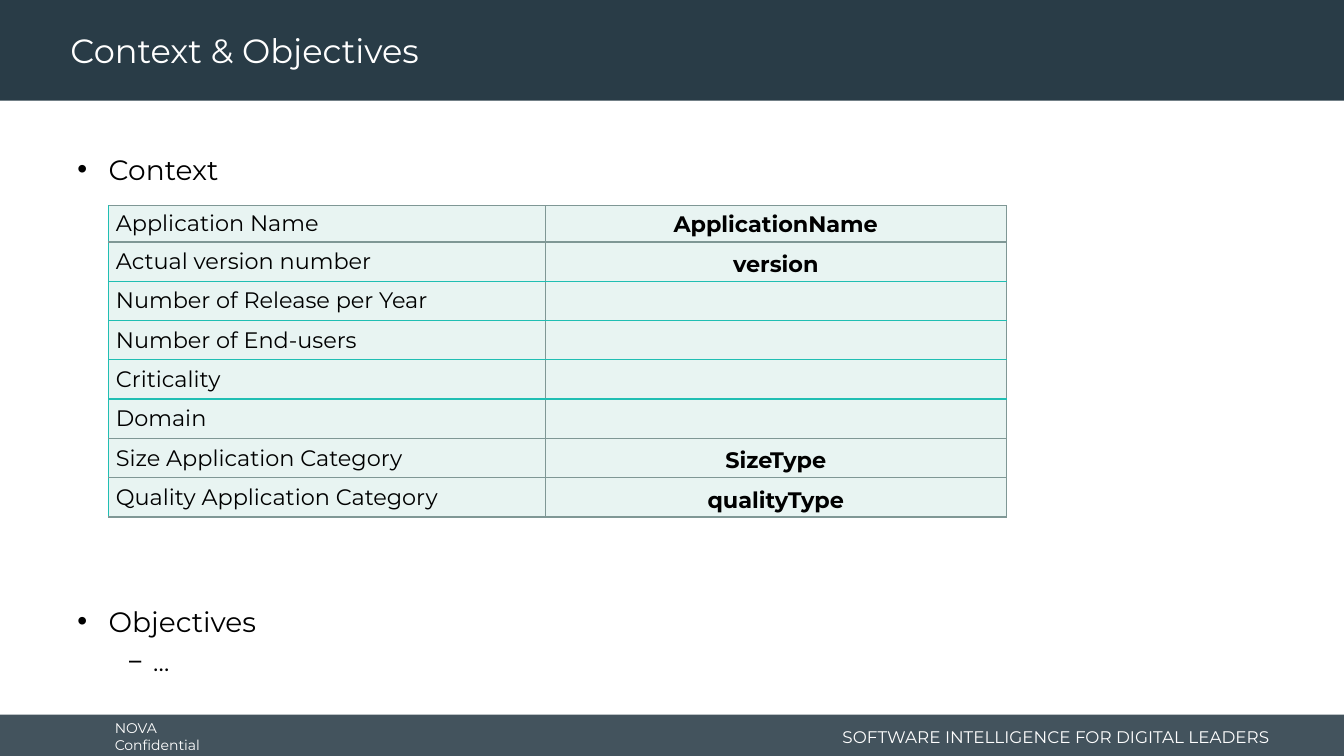
from lxml.etree import SubElement
from pptx import Presentation
from pptx.dml.color import RGBColor
from pptx.enum.shapes import MSO_SHAPE
from pptx.enum.text import MSO_ANCHOR, PP_ALIGN
from pptx.oxml.ns import qn
from pptx.util import Inches, Pt

NAVY = RGBColor(0x29, 0x3C, 0x47)
WHITE = RGBColor(0xFF, 0xFF, 0xFF)
BLACK = RGBColor(0x00, 0x00, 0x00)
MINT = RGBColor(0xE8, 0xF4, 0xF2)
TEAL = RGBColor(0x20, 0xBE, 0xB3)
GREY = RGBColor(0x7F, 0x97, 0x95)

WIDTH, HEIGHT = 13.33, 7.5
FONT = "Montserrat"
TABLE_LEFT, TABLE_TOP = 1.08, 2.04
COLUMNS = [4.33, 4.57]
FIRST_ROW, ROW = 0.36, 0.39
VALUE_HEIGHT = 0.37
TEAL_RULES = range(2, 6)

FACTS = [
    ("Application Name", "ApplicationName"),
    ("Actual version number", "version"),
    ("Number of Release per Year", ""),
    ("Number of End-users", ""),
    ("Criticality", ""),
    ("Domain", ""),
    ("Size Application Category", "SizeType"),
    ("Quality Application Category", "qualityType"),
]

OUTLINE = [
    ("Context", "•", 20, 0, 0.31, -0.31),
    ("Objectives", "•", 20, 299, 0.31, -0.31),
    ("…", "−", 18, 6, 0.75, -0.25),
]


def apply_format(target, values):
    for name, value in values.items():
        setattr(target, name, value)


def write(paragraph, text, size, color=BLACK, bold=False, **layout):
    run = paragraph.add_run()
    run.text = text
    apply_format(run.font, {"name": FONT, "size": Pt(size), "bold": bold})
    run.font.color.rgb = color
    apply_format(paragraph, layout)


def add_frame(slide, box, anchor=MSO_ANCHOR.TOP, wrap=True):
    frame = slide.shapes.add_textbox(*map(Inches, box)).text_frame
    apply_format(frame, {"word_wrap": wrap, "vertical_anchor": anchor})
    return frame


def add_label(slide, box, text, size, color, bold=False, wrap=True,
              anchor=MSO_ANCHOR.MIDDLE, **layout):
    frame = add_frame(slide, box, anchor, wrap)
    write(frame.paragraphs[0], text, size, color, bold, **layout)


def add_band(slide, top, height, opacity):
    band = slide.shapes.add_shape(
        MSO_SHAPE.RECTANGLE, 0, Inches(top), Inches(WIDTH), Inches(height))
    band.shadow.inherit = False
    band.fill.solid()
    band.fill.fore_color.rgb = NAVY
    band.line.fill.background()
    tint = band.fill._xPr.find(qn("a:solidFill"))[0]
    SubElement(tint, qn("a:alpha"), val=str(opacity * 1000))


def indent(paragraph, margin, hanging=0):
    properties = paragraph._p.get_or_add_pPr()
    properties.set("marL", str(Inches(margin)))
    properties.set("indent", str(Inches(hanging)))
    return properties


def add_outline(slide):
    frame = add_frame(slide, (0.67, 1.46, 12, 5.29))
    for index, (text, bullet, size, before, margin, hanging) in enumerate(OUTLINE):
        paragraph = frame.add_paragraph() if index else frame.paragraphs[0]
        write(paragraph, text, size, space_before=Pt(before))
        properties = indent(paragraph, margin, hanging)
        SubElement(properties, qn("a:buFont"), typeface="Arial")
        SubElement(properties, qn("a:buChar"), char=bullet)


def style_cell(cell, row, column):
    apply_format(cell, {
        "margin_left": 0, "margin_right": 0, "margin_top": 0,
        "margin_bottom": 0, "vertical_anchor": MSO_ANCHOR.MIDDLE,
    })
    edges = {
        "lnL": GREY if column else TEAL,
        "lnR": GREY,
        "lnT": TEAL if row in TEAL_RULES else GREY,
        "lnB": TEAL if row + 1 in TEAL_RULES else GREY,
    }
    for edge, color in edges.items():
        line = SubElement(cell._tc.get_or_add_tcPr(), qn("a:" + edge), w=str(Pt(1)))
        paint = SubElement(line, qn("a:solidFill"))
        SubElement(paint, qn("a:srgbClr"), val=str(color))
    cell.fill.solid()
    cell.fill.fore_color.rgb = MINT


def add_facts(slide):
    height = FIRST_ROW + ROW * (len(FACTS) - 1)
    table = slide.shapes.add_table(
        len(FACTS), len(COLUMNS), Inches(TABLE_LEFT), Inches(TABLE_TOP),
        Inches(sum(COLUMNS)), Inches(height)).table
    apply_format(table, {"first_row": False, "horz_banding": False})
    for column, width in zip(table.columns, COLUMNS):
        column.width = Inches(width)
    for row, (fact, value) in enumerate(FACTS):
        table.rows[row].height = Inches(ROW if row else FIRST_ROW)
        for column in range(len(COLUMNS)):
            style_cell(table.cell(row, column), row, column)
        paragraph = table.cell(row, 0).text_frame.paragraphs[0]
        write(paragraph, fact, 16)
        indent(paragraph, 0.07)
        if value:
            box = (TABLE_LEFT + COLUMNS[0], TABLE_TOP + ROW * row,
                   COLUMNS[1], VALUE_HEIGHT)
            add_label(slide, box, value, 16, BLACK, bold=True,
                      anchor=MSO_ANCHOR.TOP, alignment=PP_ALIGN.CENTER)


def main():
    deck = Presentation()
    apply_format(deck, {"slide_width": Inches(WIDTH), "slide_height": Inches(HEIGHT)})
    slide = deck.slides.add_slide(deck.slide_layouts[6])
    add_band(slide, 7.09, 0.44, 88)
    add_band(slide, 0, 1, 100)
    add_label(slide, (1.04, 7.11, 1.48, 0.4), "NOVA Confidential", 10, WHITE, wrap=False)
    add_label(slide, (8.11, 7.15, 4.58, 0.32), "SOFTWARE INTELLIGENCE FOR DIGITAL LEADERS",
              12, WHITE, alignment=PP_ALIGN.RIGHT)
    add_outline(slide)
    add_label(slide, (0.6, 0.04, 9.58, 0.96), "Context & Objectives", 24, WHITE,
              line_spacing=0.9)
    add_facts(slide)
    deck.save("out.pptx")


if __name__ == "__main__":
    main()
